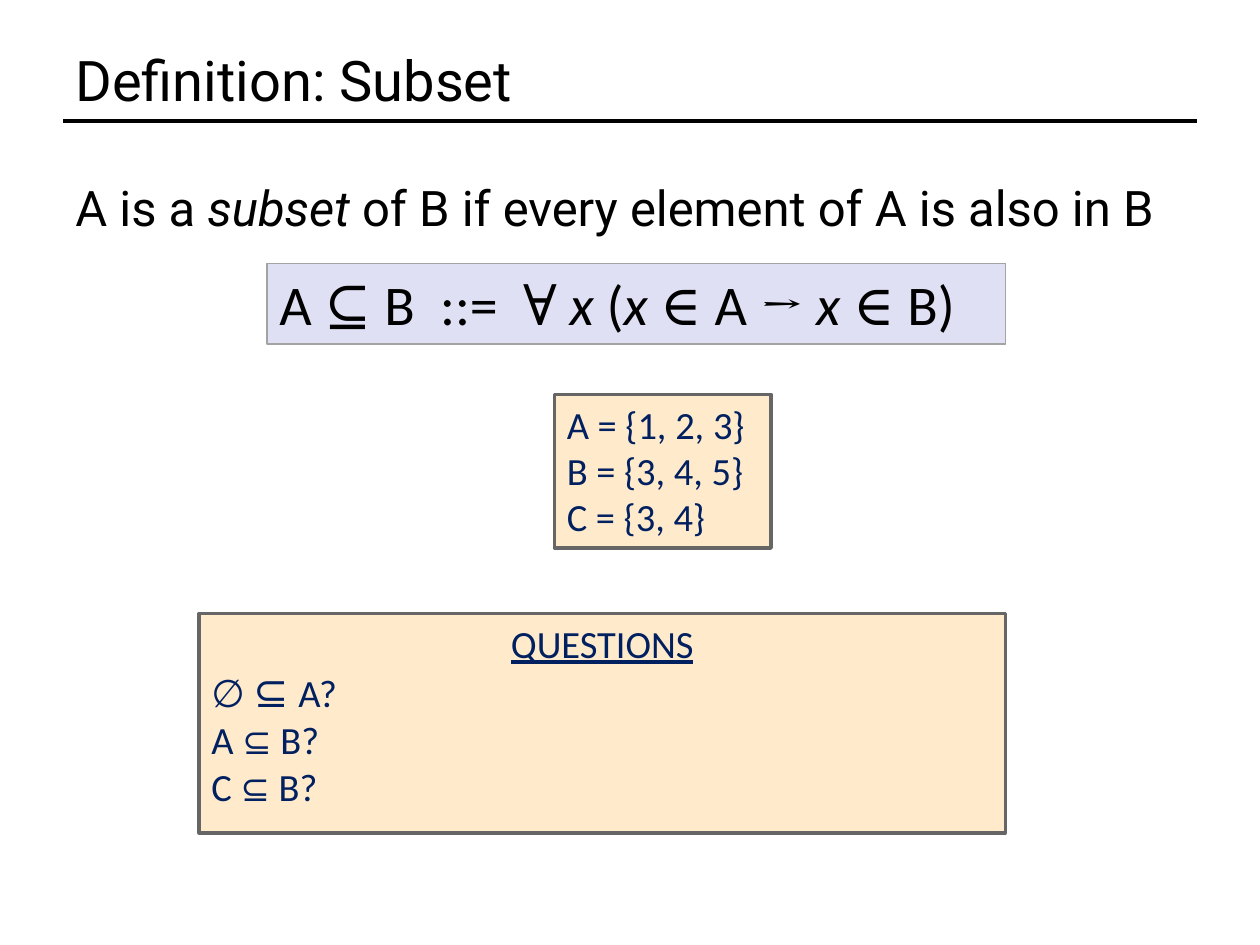
from dataclasses import dataclass
from typing import Optional

from lxml import etree
from pptx import Presentation
from pptx.dml.color import RGBColor
from pptx.enum import shapes, text
from pptx.oxml import ns
from pptx.util import Inches, Pt

BLACK = RGBColor(0x00, 0x00, 0x00)
NAVY = RGBColor(0x00, 0x20, 0x60)
PEACH = RGBColor(0xFF, 0xEB, 0xCC)
DARK_GRAY = RGBColor(0x66, 0x66, 0x66)
LAVENDER = RGBColor(0xE0, 0xE0, 0xF5)
GRAY = RGBColor(0xA3, 0xA3, 0xA3)

TOP = text.MSO_ANCHOR.TOP
MIDDLE = text.MSO_ANCHOR.MIDDLE
LEFT = text.PP_ALIGN.LEFT
CENTER = text.PP_ALIGN.CENTER


@dataclass
class Run:
    text: str
    italic: Optional[bool] = None
    underline: Optional[bool] = None
    font: Optional[str] = None
    size: Optional[float] = None


@dataclass
class Line:
    runs: list[Run]
    align: text.PP_ALIGN = LEFT


@dataclass
class Box:
    left: float
    top: float
    width: float
    height: float
    lines: list[Line]
    font: str
    size: float
    color: RGBColor
    anchor: text.MSO_ANCHOR = TOP
    fill: Optional[RGBColor] = None
    border: Optional[RGBColor] = None
    border_width: float = 2


def math(symbols: str) -> Run:
    return Run(symbols, font="Cambria")


def question(left_set: str) -> Line:
    return Line([Run(f"{left_set} "), Run("⊆", size=20), Run(" B?")])


def add_box(s, box: Box) -> None:
    frame = [Inches(v) for v in (box.left, box.top, box.width, box.height)]
    if box.fill is None:
        sp = s.shapes.add_textbox(*frame)
    else:
        sp = s.shapes.add_shape(shapes.MSO_SHAPE.RECTANGLE, *frame)
        sp.shadow.inherit = False
        sp.fill.solid()
        sp.fill.fore_color.rgb = box.fill
        sp.line.color.rgb = box.border
        sp.line.width = Pt(box.border_width)
    tf = sp.text_frame
    tf.word_wrap = True
    tf.vertical_anchor = box.anchor
    for i, line in enumerate(box.lines):
        p = tf.add_paragraph() if i else tf.paragraphs[0]
        p.alignment = line.align
        p.font.name = box.font
        p.font.size = Pt(box.size)
        p.font.color.rgb = box.color
        for run in line.runs:
            r = p.add_run()
            r.text = run.text
            r.font.name = run.font or box.font
            r.font.size = Pt(run.size or box.size)
            r.font.color.rgb = box.color
            r.font.italic = run.italic
            r.font.underline = run.underline


def add_rule(s, left: float, right: float, y: float) -> None:
    rule = s.shapes.add_connector(shapes.MSO_CONNECTOR.STRAIGHT,
                                  Inches(left), Inches(y), Inches(right), Inches(y))
    rule.line.color.rgb = BLACK
    rule.line.width = Pt(2)
    etree.SubElement(rule._element.spPr, ns.qn("a:effectLst"))


TITLE = Box(0.5, 0.3, 9, 0.66, [Line([Run("Definition: Subset")])],
            "Roboto", 32, BLACK, MIDDLE)

STATEMENT = Box(0.5, 1.36, 9, 5.62, [Line([
    Run("A is a "), Run("subset", italic=True),
    Run(" of B if every element of A is also in B")])],
    "Roboto", 28, BLACK)

SETS = Box(4.4, 3.13, 1.72, 1.22,
           [Line([Run(t)]) for t in ("A = {1, 2, 3}", "B = {3, 4, 5}", "C = {3, 4}")],
           "Calibri", 22, NAVY, fill=PEACH, border=DARK_GRAY)

QUESTIONS = Box(1.58, 4.87, 6.4, 1.74, [
    Line([Run("QUESTIONS", underline=True)], CENTER),
    Line([Run("∅ "), Run("⊆ ", size=24), Run("A?")]),
    question("A"),
    question("C"),
], "Calibri", 22, NAVY, fill=PEACH, border=DARK_GRAY)

FORMULA = Box(2.12, 2.09, 5.86, 0.64, [Line([
    Run("A "), math("⊆"), Run(" B  ::=  "), math("∀ "), Run("x", italic=True),
    Run(" ("), Run("x ", italic=True), math("∈"), Run(" A "), math("→ "),
    Run("x ", italic=True), math("∈"), Run(" B)")])],
    "Calibri", 32, BLACK, fill=LAVENDER, border=GRAY, border_width=0.75)


def main() -> None:
    prs = Presentation()
    prs.slide_width, prs.slide_height = Inches(10), Inches(7.5)
    s = prs.slides.add_slide(prs.slide_layouts[6])

    # Heading rule
    add_rule(s, 0.5, 9.5, 0.96)

    # Title, statement, example sets, questions and formal definition
    for box in (TITLE, STATEMENT, SETS, QUESTIONS, FORMULA):
        add_box(s, box)

    prs.save("out.pptx")


if __name__ == "__main__":
    main()
